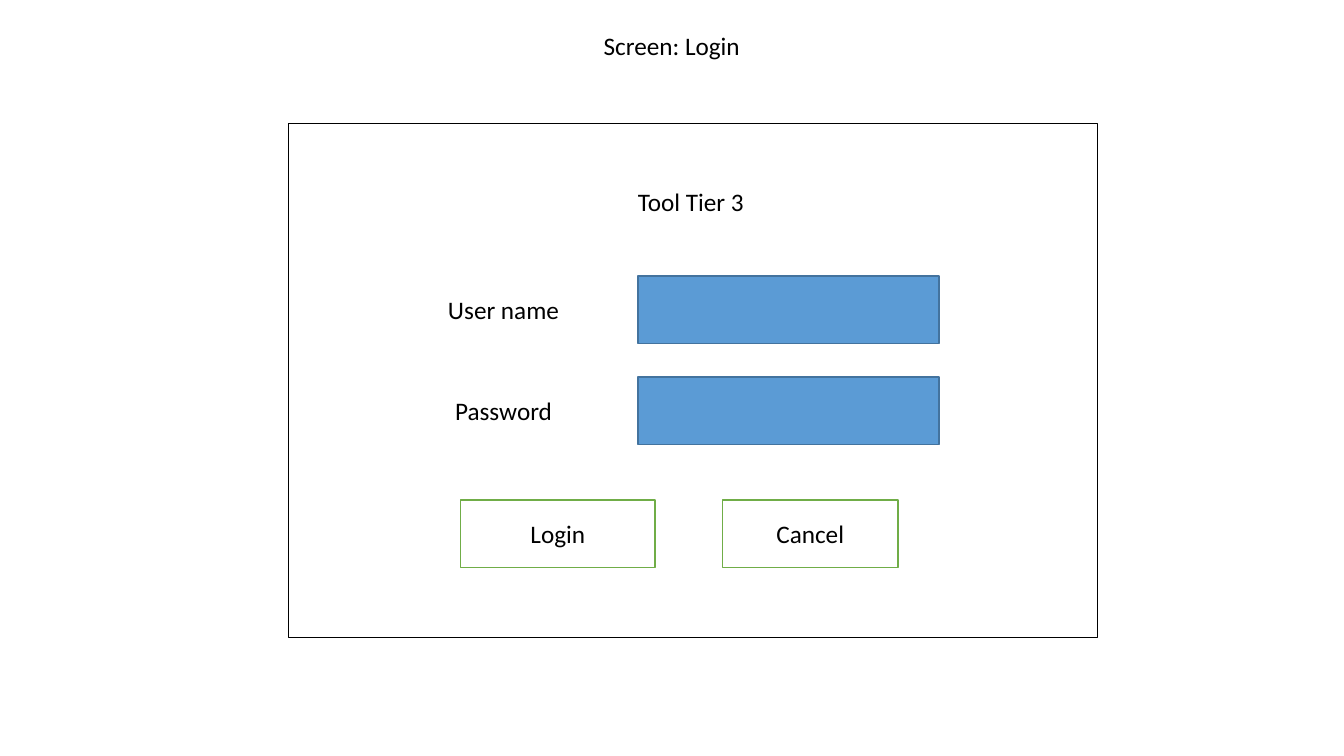
"""Build the login screen wireframe slide."""
from dataclasses import dataclass

import pptx
import pptx.dml.color
import pptx.enum.shapes
import pptx.enum.text
import pptx.util

Cm = pptx.util.Cm
Pt = pptx.util.Pt

SCREEN_TITLE = "Screen: Login"
TOOL_NAME = "Tool Tier 3"
FIELDS = ["User name", "Password"]
BUTTONS = [("Login", 11.61, 4.9), ("Cancel", 18.21, 4.42)]


@dataclass(frozen=True)
class Theme:
    font: str = "Calibri"
    size: float = 18
    ink: str = "000000"
    paper: str = "FFFFFF"
    field: str = "5B9BD5"
    field_line: str = "43739E"
    button_line: str = "70AD47"
    frame_width: float = 0.75
    line_width: float = 1


THEME = Theme()
ROW_HEIGHT = 1.7
LABEL_WIDTH = 4.6
FIELDS_TOP = 6.96
FIELD_STEP = 2.54
BUTTONS_TOP = 12.6


def rgb(color):
    return pptx.dml.color.RGBColor.from_string(color)


def write(shape, text):
    frame = shape.text_frame
    frame.text = text
    frame.vertical_anchor = pptx.enum.text.MSO_ANCHOR.MIDDLE
    paragraph = frame.paragraphs[0]
    paragraph.alignment = pptx.enum.text.PP_ALIGN.CENTER
    paragraph.font.name = THEME.font
    paragraph.font.size = Pt(THEME.size)
    paragraph.font.color.rgb = rgb(THEME.ink)


def add_box(slide, left, top, width, height=ROW_HEIGHT, text=None,
            fill=THEME.paper, line=None, line_width=THEME.line_width):
    box = slide.shapes.add_shape(
        pptx.enum.shapes.MSO_SHAPE.RECTANGLE,
        Cm(left), Cm(top), Cm(width), Cm(height))
    box.shadow.inherit = False
    if fill:
        box.fill.solid()
        box.fill.fore_color.rgb = rgb(fill)
    else:
        box.fill.background()
    if line:
        box.line.color.rgb = rgb(line)
        box.line.width = Pt(line_width)
    else:
        box.line.fill.background()
    if text:
        write(box, text)


def add_title(slide):
    title = slide.shapes.title
    title.left, title.top = Cm(14.86), Cm(0.64)
    title.width, title.height = Cm(4.14), Cm(1.02)
    write(title, SCREEN_TITLE)
    title.text_frame.word_wrap = False
    title.text_frame.auto_size = pptx.enum.text.MSO_AUTO_SIZE.NONE


def main():
    deck = pptx.Presentation()
    deck.slide_width, deck.slide_height = Cm(33.87), Cm(19.05)
    slide = deck.slides.add_slide(deck.slide_layouts[5])

    add_title(slide)
    add_box(slide, 7.26, 3.12, 20.4, 12.95, fill=None,
            line=THEME.ink, line_width=THEME.frame_width)
    add_box(slide, 15.11, 4.22, LABEL_WIDTH, text=TOOL_NAME)
    for row, label in enumerate(FIELDS):
        top = FIELDS_TOP + row * FIELD_STEP
        add_box(slide, 10.39, top, LABEL_WIDTH, text=label)
        add_box(slide, 16.08, top, 7.59,
                fill=THEME.field, line=THEME.field_line)
    for caption, left, width in BUTTONS:
        add_box(slide, left, BUTTONS_TOP, width, text=caption,
                line=THEME.button_line)

    deck.save("out.pptx")


if __name__ == "__main__":
    main()
